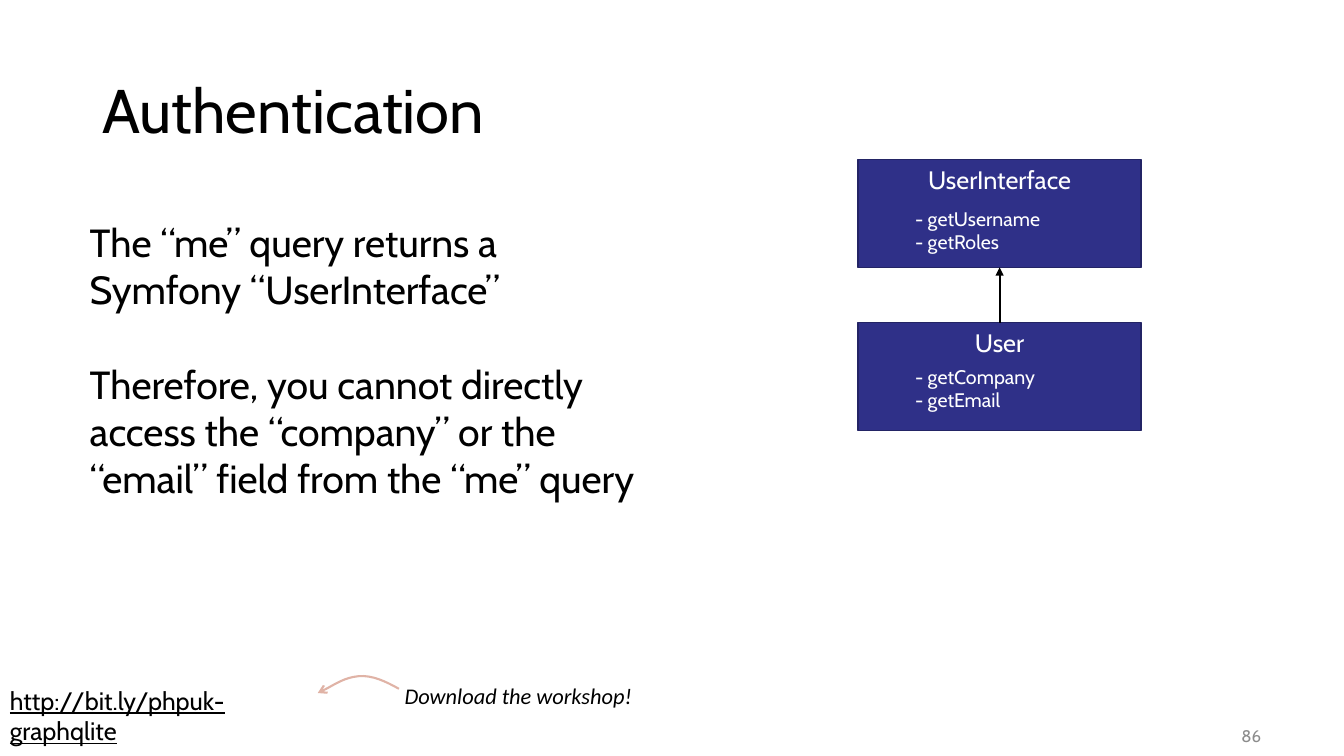
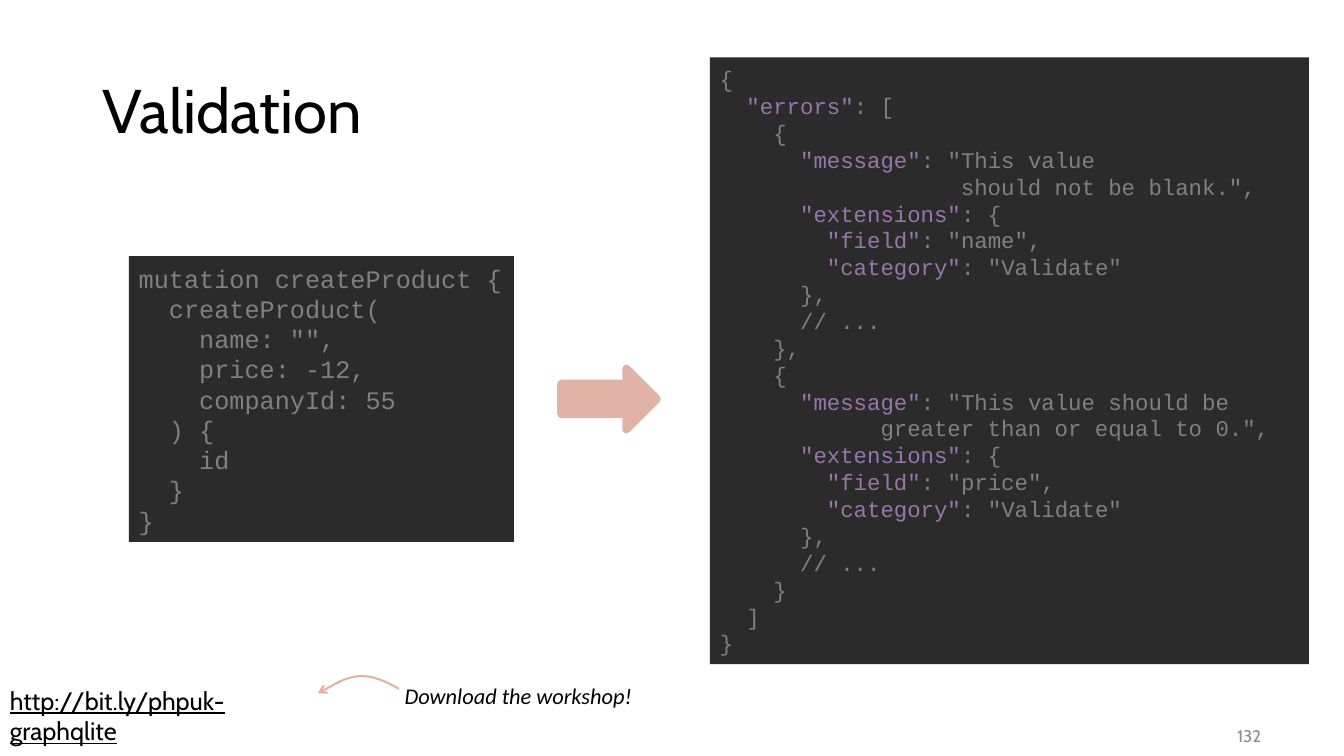
from lxml import etree
from pptx import Presentation
from pptx.dml.color import RGBColor
from pptx.enum.shapes import MSO_CONNECTOR as Connector, MSO_SHAPE as Shape
from pptx.enum.text import MSO_ANCHOR as Anchor, PP_ALIGN as Align
from pptx.oxml.ns import qn
from pptx.util import Pt

BLACK = RGBColor(0x00, 0x00, 0x00)
WHITE = RGBColor(0xFF, 0xFF, 0xFF)
NAVY = RGBColor(0x2F, 0x30, 0x88)
NAVY_EDGE = RGBColor(0x23, 0x24, 0x65)
PINK = RGBColor(0xE0, 0xB3, 0xA6)
NUMBER_GREY = RGBColor(0x8C, 0x8C, 0x8C)
CODE_BACK = RGBColor(0x2B, 0x2B, 0x2B)
CODE_GREY = RGBColor(0x80, 0x80, 0x80)
CODE_KEY = RGBColor(0x98, 0x76, 0xAA)

LINK = "http://bit.ly/phpuk-graphqlite"
BODY = """The “me” query returns a Symfony “UserInterface”
Therefore, you cannot directly access the “company” or the “email” field from the “me” query"""
MUTATION = """mutation createProduct {
  createProduct(
    name: "",
    price: -12,
    companyId: 55
  ) {
    id
  }
}"""
RESPONSE = """{
  "errors": [
    {
      "message": "This value
                  should not be blank.",
      "extensions": {
        "field": "name",
        "category": "Validate"
      },
      // ...
    },
    {
      "message": "This value should be
            greater than or equal to 0.",
      "extensions": {
        "field": "price",
        "category": "Validate"
      },
      // ...
    }
  ]
}"""


def plain_runs(line, color):
    return [(line, color)]


def code_runs(line, color):
    """Give a quoted key at the start of a line its own colour."""
    key, colon, rest = line.partition(":")
    if colon and key.lstrip().startswith('"'):
        return [(key, CODE_KEY), (colon + rest, color)]
    return [(line, color)]


def write(frame, text, size=18, font="Cabin", color=BLACK, align=Align.LEFT,
          anchor=Anchor.TOP, italic=False, underline=False, line_spacing=None,
          gap=0, wrap=True, split=plain_runs):
    """Write each line of text as a paragraph, with gap points between them."""
    frame.word_wrap = wrap
    frame.vertical_anchor = anchor
    for index, line in enumerate(text.split("\n")):
        paragraph = frame.add_paragraph() if index else frame.paragraphs[0]
        paragraph.alignment = align
        if line_spacing:
            paragraph.line_spacing = line_spacing
        if index and gap:
            paragraph.space_before = Pt(gap)
        for part, part_color in split(line, color):
            run = paragraph.add_run()
            run.text = part
            run.font.name = font
            run.font.size = Pt(size)
            run.font.color.rgb = part_color
            run.font.italic = italic
            run.font.underline = underline


def set_line(item, color, width, head=None):
    item.line.color.rgb = color
    item.line.width = Pt(width)
    if head:
        line = item.line._get_or_add_ln()
        etree.SubElement(line, qn("a:tailEnd"), type=head)


class Deck:
    def __init__(self):
        self.presentation = Presentation()
        self.presentation.slide_width = Pt(960)
        self.presentation.slide_height = Pt(540)
        self.slide = None

    def new_slide(self, title, number):
        layout = self.presentation.slide_layouts[6]
        self.slide = self.presentation.slides.add_slide(layout)
        self.text(0, 486, 240, 29, LINK, underline=True)
        self.curved_arrow([(285, 492), (276, 487), (266, 482), (256, 483),
                           (246, 484), (234, 492), (227, 495)])
        self.text(282, 484, 180, 27, "Download the workshop!", size=16,
                  font="Calibri", italic=True)
        self.text(66, 29, 828, 104, title, size=44, anchor=Anchor.MIDDLE,
                  line_spacing=0.9)
        self.text(692, 511, 216, 29, str(number), size=12, color=NUMBER_GREY,
                  align=Align.RIGHT, anchor=Anchor.MIDDLE)

    def text(self, left, top, width, height, text, **style):
        box = self.slide.shapes.add_textbox(Pt(left), Pt(top), Pt(width), Pt(height))
        write(box.text_frame, text, **style)

    def shape(self, kind, left, top, width, height, fill, edge=None, edge_width=1):
        shape = self.slide.shapes.add_shape(
            kind, Pt(left), Pt(top), Pt(width), Pt(height))
        shape.shadow.inherit = False
        shape.fill.solid()
        shape.fill.fore_color.rgb = fill
        if edge is None:
            shape.line.fill.background()
        else:
            set_line(shape, edge, edge_width)
        return shape

    def class_box(self, top, name, methods, methods_offset):
        box = self.shape(Shape.RECTANGLE, 613, top, 202, 77, NAVY, NAVY_EDGE)
        write(box.text_frame, name, color=WHITE, align=Align.CENTER)
        self.text(646.5, top + methods_offset, 134, 41, methods, size=14, color=WHITE)
        return box

    def code(self, left, top, width, height, text, size, wrap=True):
        box = self.shape(Shape.RECTANGLE, left, top, width, height, CODE_BACK)
        write(box.text_frame, text, size=size, font="Courier New", color=CODE_GREY,
              anchor=Anchor.MIDDLE, wrap=wrap, split=code_runs)

    def inherits(self, child, parent):
        """Draw an arrow from the top of child to the bottom of parent."""
        arrow = self.slide.shapes.add_connector(Connector.STRAIGHT, 0, 0, 0, 0)
        arrow.begin_connect(child, 0)
        arrow.end_connect(parent, 2)
        set_line(arrow, BLACK, 1.5, "triangle")
        etree.SubElement(arrow._element.spPr, qn("a:effectLst"))

    def curved_arrow(self, points):
        """Draw Bézier curves: a start, then two controls and an end for each."""
        start, *others = [(Pt(x), Pt(y)) for x, y in points]
        builder = self.slide.shapes.build_freeform(*start)
        builder.add_line_segments(others, close=False)
        curve = builder.convert_to_shape()
        segments = list(curve._element.iter(qn("a:lnTo")))
        outline = segments[0].getparent()
        for first in range(0, len(segments), 3):
            bezier = etree.SubElement(outline, qn("a:cubicBezTo"))
            for segment in segments[first:first + 3]:
                bezier.append(segment[0])
                outline.remove(segment)
        curve.shadow.inherit = False
        curve.fill.background()
        set_line(curve, PINK, 1.5, "arrow")


def main():
    deck = Deck()

    deck.new_slide("Authentication", 86)
    deck.text(57, 152.5, 417, 211, BODY, size=28, gap=34)
    interface = deck.class_box(114, "UserInterface", "- getUsername\n- getRoles", 30)
    user = deck.class_box(230.5, "User", "- getCompany\n- getEmail", 26.5)
    deck.inherits(user, interface)

    deck.new_slide("Validation", 132)
    deck.code(92, 183, 275, 204, MUTATION, size=18, wrap=False)
    deck.shape(Shape.RIGHT_ARROW, 401, 263.5, 68, 43, PINK, PINK, 6)
    deck.code(507, 41, 428, 433.5, RESPONSE, size=16)

    deck.presentation.save("out.pptx")


if __name__ == "__main__":
    main()
